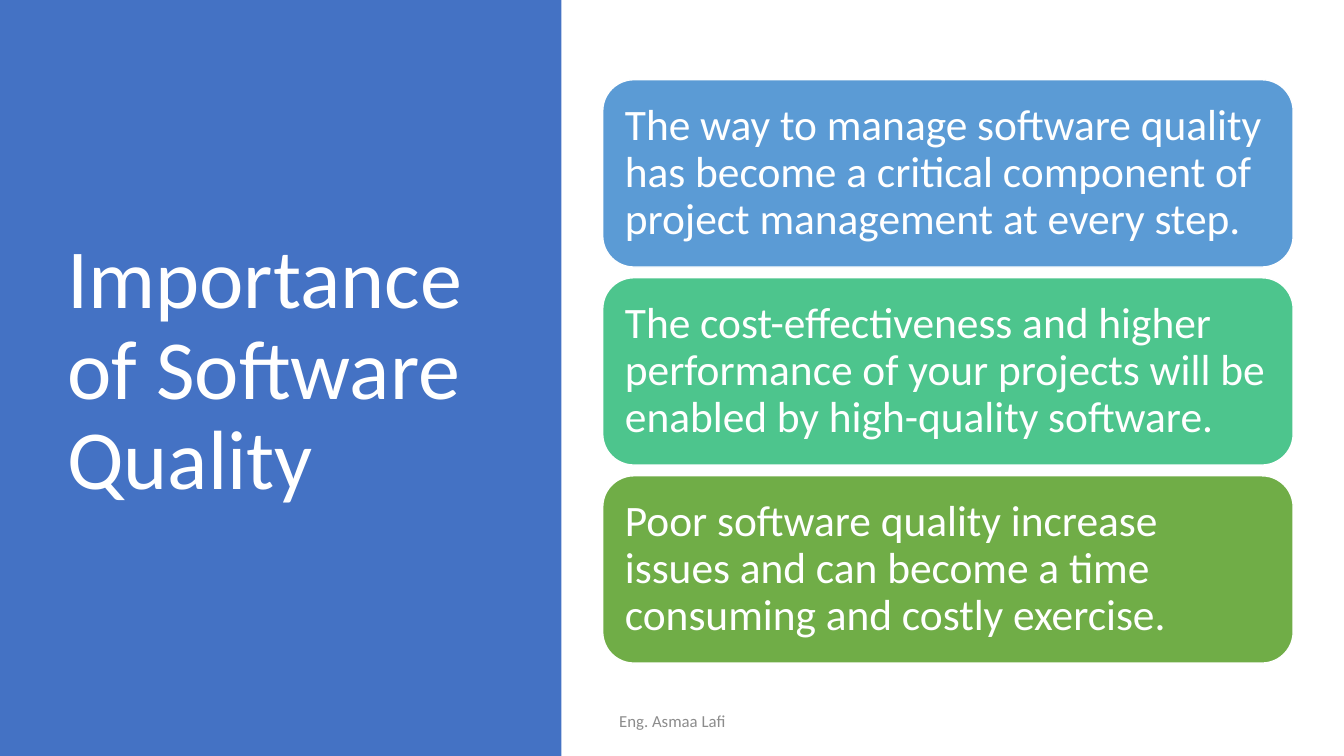
from dataclasses import dataclass

from pptx import Presentation
from pptx.dml.color import RGBColor
from pptx.enum import shapes, text
from pptx.util import Cm, Pt


@dataclass(frozen=True)
class Theme:
    font: str = "Calibri"
    white: str = "FFFFFF"
    panel: str = "4472C4"
    cards: tuple = ("5B9BD5", "4DC58D", "70AD47")
    grey: str = "8C8C8C"
    title: int = 60
    body: int = 31
    small: int = 12


theme = Theme()
kind = shapes.MSO_SHAPE
align = text.PP_ALIGN

deck = Presentation()
deck.slide_width, deck.slide_height = Cm(33.87), Cm(19.05)
slide = deck.slides.add_slide(deck.slide_layouts[6])


def block(form, left, top, width, height, fill):
    """Add a filled shape without line or shadow."""
    shape = slide.shapes.add_shape(form, Cm(left), Cm(top), Cm(width), Cm(height))
    shape.shadow.inherit = False
    shape.fill.solid()
    shape.fill.fore_color.rgb = RGBColor.from_string(fill)
    shape.line.fill.background()
    return shape


def write(shape, words, size, color, side=align.LEFT, lines=0.9):
    """Set one vertically centred paragraph in a shape."""
    frame = shape.text_frame
    frame.word_wrap = True
    frame.vertical_anchor = text.MSO_ANCHOR.MIDDLE
    para = frame.paragraphs[0]
    para.text = words
    para.alignment = side
    para.line_spacing = lines
    para.font.name = theme.font
    para.font.size = Pt(size)
    para.font.color.rgb = RGBColor.from_string(color)
    return frame


# Title panel
block(kind.RECTANGLE, 0, 0, 14.15, 19.05, theme.panel)
title = slide.shapes.add_textbox(Cm(1.45), Cm(1.73), Cm(10.57), Cm(15.29))
write(title, "Importance of Software Quality", theme.title, theme.white)

# Stacked cards
points = (
    "The way to manage software quality has become a critical component of "
    "project management at every step.",
    "The cost-effectiveness and higher performance of your projects will be "
    "enabled by high-quality software.",
    "Poor software quality increase issues and can become a time consuming "
    "and costly exercise.",
)
first, pitch = 2.01, 4.99
for row, (point, fill) in enumerate(zip(points, theme.cards)):
    card = block(kind.ROUNDED_RECTANGLE, 15.19, first + row * pitch, 17.4, 4.72, fill)
    card.line.color.rgb = RGBColor.from_string(theme.white)
    card.line.width = Pt(1)
    frame = write(card, point, theme.body, theme.white)
    frame.margin_left = frame.margin_right = Cm(0.33)
    frame.margin_top = frame.margin_bottom = Cm(0.33)

# Footer
foot = slide.shapes.add_textbox(Cm(11.23), Cm(17.65), Cm(11.43), Cm(1.02))
write(foot, "Eng. Asmaa Lafi", theme.small, theme.grey, align.CENTER, 1.0)

deck.save("out.pptx")
